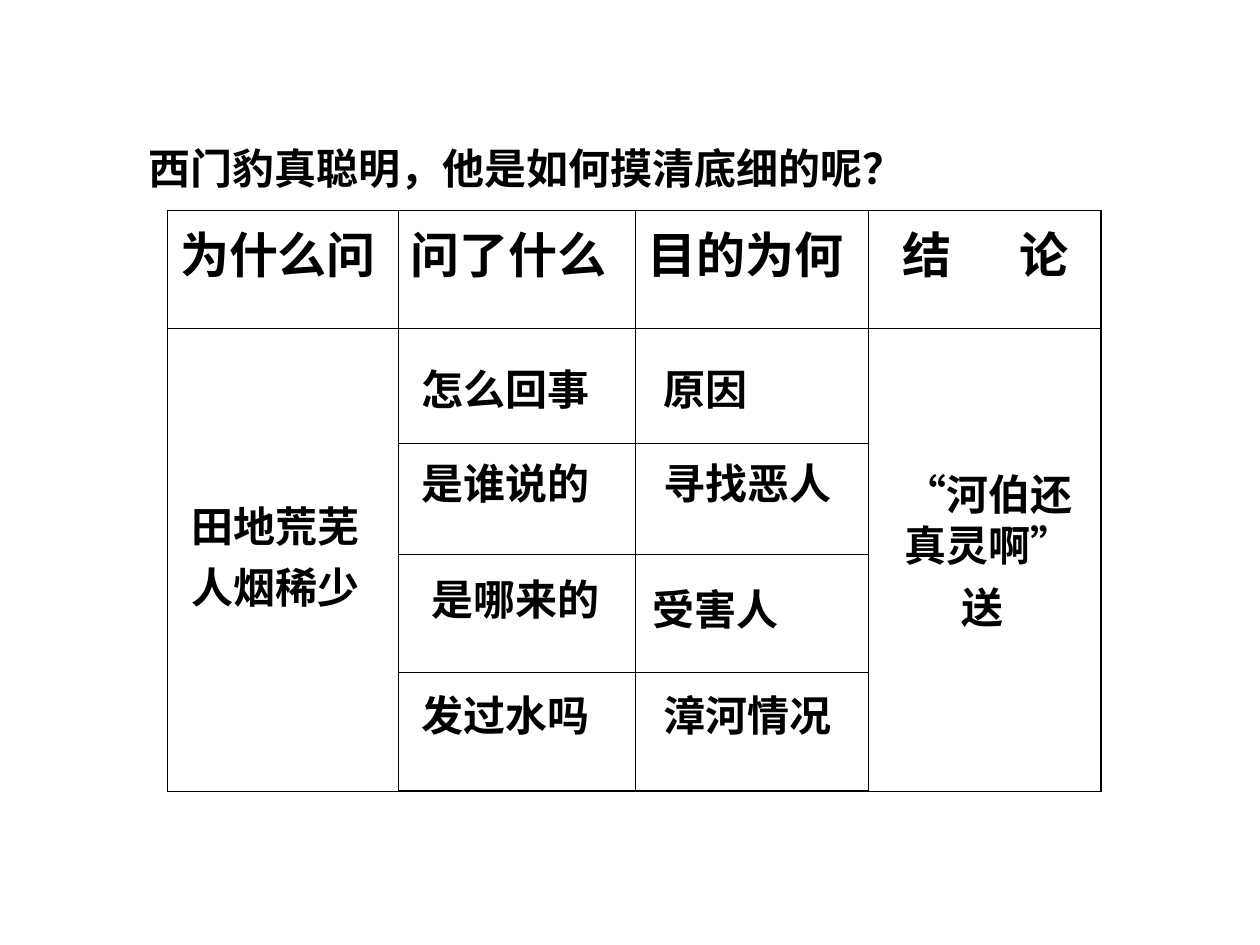
from dataclasses import dataclass

from lxml.etree import SubElement
from pptx import Presentation
from pptx.dml.color import RGBColor
from pptx.enum.text import MSO_ANCHOR, MSO_AUTO_SIZE, PP_ALIGN
from pptx.oxml.ns import qn
from pptx.util import Inches, Pt


@dataclass(frozen=True)
class Theme:
    ink: str = "000000"
    latin_font: str = "Times New Roman"
    chinese_font: str = "Noto Sans CJK JP"
    body_size: int = 24
    header_size: int = 28
    line_height: int = 29
    paragraph_gap: int = 6
    outer_border: float = 1.08
    inner_border: float = 0.45


class QuestionPage:
    def __init__(self, deck, theme):
        self.theme = theme
        self.page = deck.slides.add_slide(deck.slide_layouts[5])

    def style(self, paragraph, size, latin):
        paragraph.alignment = PP_ALIGN.LEFT
        font = paragraph.font
        font.size = Pt(size)
        font.bold = True
        font.color.rgb = RGBColor.from_string(self.theme.ink)
        font.name = latin
        properties = paragraph._p.get_or_add_pPr().find(qn("a:defRPr"))
        SubElement(properties, qn("a:ea"), typeface=self.theme.chinese_font)

    def fill_frame(self, frame, lines, latin):
        frame.word_wrap = True
        frame.auto_size = MSO_AUTO_SIZE.SHAPE_TO_FIT_TEXT
        frame.vertical_anchor = MSO_ANCHOR.TOP
        frame.text = "\n".join(lines)
        for index, paragraph in enumerate(frame.paragraphs):
            paragraph.line_spacing = Pt(self.theme.line_height)
            paragraph.space_before = Pt(self.theme.paragraph_gap if index else 0)
            self.style(paragraph, self.theme.body_size, latin)

    def title(self, text, left, top, width, height):
        title = self.page.shapes.title
        title.left, title.top = Inches(left), Inches(top)
        title.width, title.height = Inches(width), Inches(height)
        self.fill_frame(title.text_frame, [text], self.theme.latin_font)

    def text(self, lines, left, top, width, height=0.5, latin=None):
        box = self.page.shapes.add_textbox(
            Inches(left), Inches(top), Inches(width), Inches(height))
        self.fill_frame(box.text_frame, lines, latin or self.theme.chinese_font)
        return box

    def border(self, cell, side, width):
        line = SubElement(cell._tc.get_or_add_tcPr(), qn(f"a:ln{side}"),
                          w=str(Pt(width)))
        fill = SubElement(line, qn("a:solidFill"))
        SubElement(fill, qn("a:srgbClr"), val=self.theme.ink)

    def table(self, headers, left, top, widths, heights):
        rows, columns = len(heights), len(widths)
        table = self.page.shapes.add_table(
            rows, columns, Inches(left), Inches(top),
            Inches(sum(widths)), Inches(sum(heights))).table
        table.first_row = table.horz_banding = False
        for column, width in zip(table.columns, widths):
            column.width = Inches(width)
        for row, height in zip(table.rows, heights):
            row.height = Inches(height)
        for r in range(rows):
            for c in range(columns):
                cell = table.cell(r, c)
                outer_sides = {"L": c == 0, "R": c == columns - 1,
                               "T": r == 0, "B": r == rows - 1}
                for side, is_outer in outer_sides.items():
                    self.border(cell, side, self.theme.outer_border if is_outer
                                else self.theme.inner_border)
                cell.fill.background()
        for c, header in enumerate(headers):
            cell = table.cell(0, c)
            cell.text = header
            self.style(cell.text_frame.paragraphs[0],
                       self.theme.header_size, self.theme.latin_font)
        for c in (0, columns - 1):
            table.cell(1, c).merge(table.cell(rows - 1, c))
        return table


def add_tab_stop(paragraph, position):
    properties = paragraph._p.get_or_add_pPr()
    tabs = properties.makeelement(qn("a:tabLst"))
    SubElement(tabs, qn("a:tab"), pos=str(Inches(position)), algn="l")
    properties.find(qn("a:defRPr")).addprevious(tabs)


def main():
    deck = Presentation()
    deck.slide_width, deck.slide_height = Inches(10), Inches(7.5)
    theme = Theme()
    page = QuestionPage(deck, theme)

    page.title("西门豹真聪明，他是如何摸清底细的呢？", 1.08, 1.08, 7.75, 0.5)
    table = page.table(["为什么问", "问了什么", "目的为何", "结\t论"], 1.33, 1.67,
                       [1.83, 1.88, 1.85, 1.85], [0.94, 0.91, 0.88, 0.94, 0.94])
    conclusion_header = table.cell(0, 3)
    conclusion_header.margin_left = Inches(0.27)
    add_tab_stop(conclusion_header.text_frame.paragraphs[0], 0.93)

    page.text(["田地荒芜", "人烟稀少"], 1.42, 3.92, 1.67, 0.99)
    questions = [("怎么回事", 3.25, 2.83), ("是谁说的", 3.25, 3.58),
                 ("是哪来的", 3.33, 4.5), ("发过水吗", 3.25, 5.42)]
    purposes = [("原因", 5.17, 2.83), ("寻找恶人", 5.17, 3.58),
                ("受害人", 5.08, 4.58), ("漳河情况", 5.17, 5.42)]
    for label, left, top in questions + purposes:
        page.text([label], left, top, 1.67)

    conclusion = page.text(["“河伯还真灵啊”", "送"], 7.08, 3.67, 1.58, 1.39,
                           theme.latin_font)
    verdict = conclusion.text_frame.paragraphs[1]
    verdict._p.get_or_add_pPr().set("marL", str(Inches(0.45)))

    deck.save("out.pptx")


if __name__ == "__main__":
    main()
